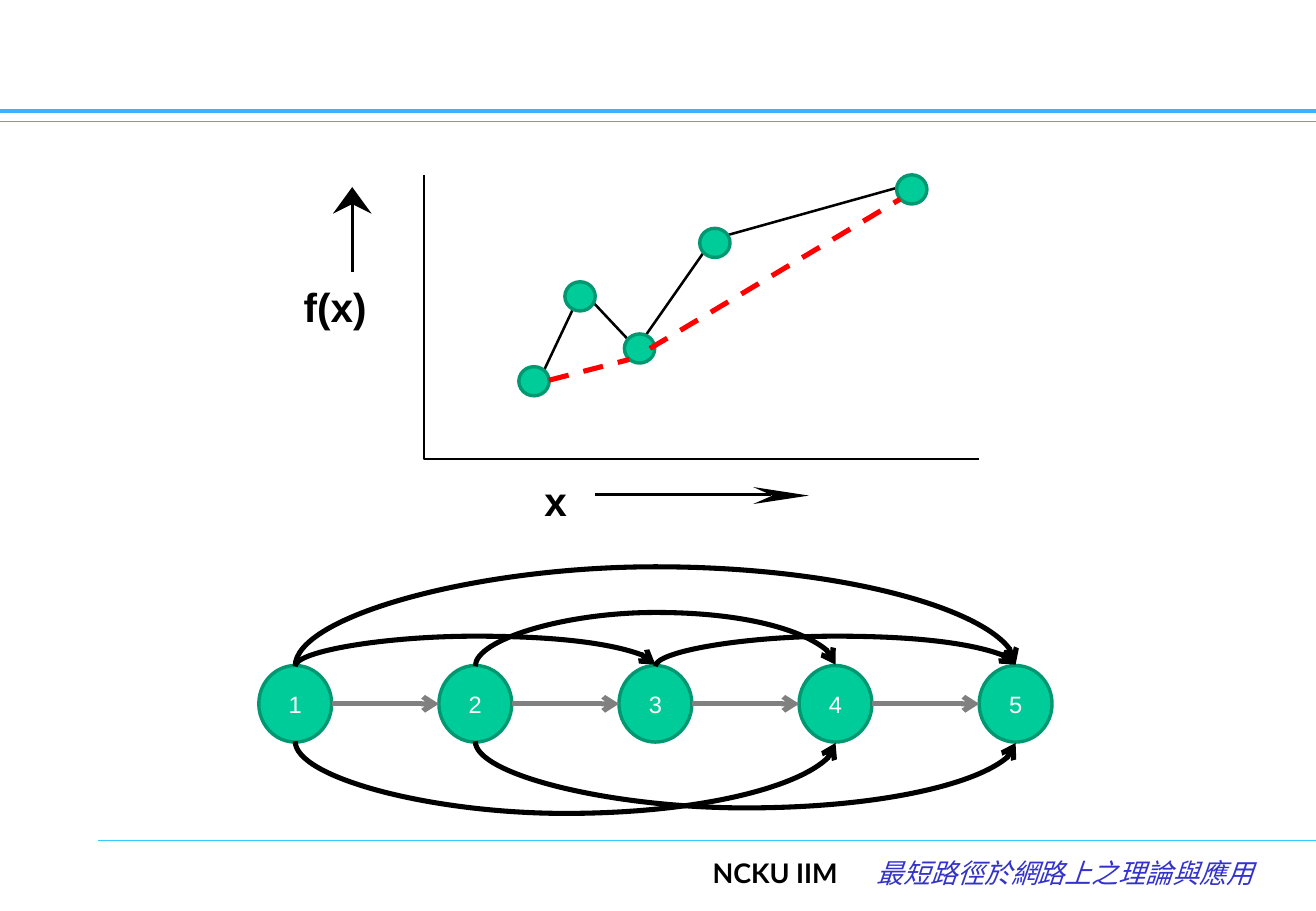
from dataclasses import dataclass
from itertools import pairwise

from lxml import etree
from pptx import Presentation
from pptx import shapes as shp
from pptx import slide as sld
from pptx import util as u
from pptx.dml import color
from pptx.enum import dml, shapes, text
from pptx.oxml import ns
from pptx.shapes import base, connector as con

Point = tuple[float, float]

BLACK, GREY, RED, WHITE = "000000", "808080", "FF0000", "FFFFFF"
GREEN, DARK_GREEN = "00CC99", "009771"
SKY, CYAN, INDIGO = "3DB0FF", "33CCFF", "3333CC"

SLIDE_WIDTH, SLIDE_HEIGHT = 780, 540
NODE_X, NODE_Y, NODE_PITCH = 175, 417.2, 106.75
NODE_WIDTH, NODE_HEIGHT = 43.2, 45.4
DOT_WIDTH, DOT_HEIGHT = 18, 17.3


@dataclass(frozen=True)
class Stroke:
    start: Point
    end: Point
    colour: str
    width: float
    dashed: bool = False
    arrow: bool = False


@dataclass(frozen=True)
class Arc:
    source: int
    target: int
    bulge: float
    above: bool = True


@dataclass(frozen=True)
class Label:
    wording: str
    left: float
    top: float
    width: float


RULES = [
    Stroke((0, 72), (SLIDE_WIDTH, 72), SKY, 0.75),
    Stroke((0, 66), (SLIDE_WIDTH, 66), SKY, 2.5),
    Stroke((58.3, 498), (SLIDE_WIDTH, 498), CYAN, 0.75),
]
AXES = [(251.3, 103.7), (251.3, 272.2), (580.3, 272.2)]
AXIS_LABELS = [Label("x", 322.6, 282.2, 13.7), Label("f(x)", 180, 167, 37.4)]
AXIS_ARROWS = [
    Stroke((352.8, 293.2), (457.2, 293.2), BLACK, 1.5),
    Stroke((208.8, 161.3), (208.8, 121), BLACK, 1.5),
]
ARROWHEADS = [
    [(479.5, 293.8), (446.4, 298.8), (457.9, 293.8), (446.4, 288.7)],
    [(208.8, 110.9), (220.3, 126.7), (208.8, 121), (197.3, 126.7)],
]
CURVE = [(320.4, 223.9), (344.9, 172.1), (377.3, 206.6), (422.6, 141.8), (538.6, 109.4)]
DOTS = [(343.8, 175.7), (316.5, 226), (379.1, 206.6), (423.7, 144), (540.4, 112.3)]
ENVELOPE = [
    Stroke((325.4, 225.4), (373, 213.1), RED, 3, dashed=True),
    Stroke((385.2, 206.6), (533.5, 118.1), RED, 3, dashed=True),
]
ARCS = [
    Arc(1, 5, 59.46),
    Arc(2, 4, 32.18),
    Arc(3, 5, 18),
    Arc(1, 4, 43.09, above=False),
    Arc(2, 5, 39.82, above=False),
    Arc(1, 3, 18),
]


def rgb(value: str) -> color.RGBColor:
    return color.RGBColor.from_string(value)


def set_line(shape: base.BaseShape, colour: str, width: float) -> None:
    shape.line.color.rgb = rgb(colour)
    shape.line.width = u.Pt(width)


def add_run(paragraph, wording: str, font: str, size: float, colour: str,
            bold: bool = False, italic: bool = False) -> None:
    run = paragraph.add_run()
    run.text = wording
    run.font.name, run.font.size = font, u.Pt(size)
    run.font.bold, run.font.italic = bold, italic
    run.font.color.rgb = rgb(colour)


def add_stroke(slide: sld.Slide, stroke: Stroke,
               kind: shapes.MSO_CONNECTOR = shapes.MSO_CONNECTOR.STRAIGHT) -> con.Connector:
    ends = [u.Pt(value) for value in (*stroke.start, *stroke.end)]
    connector = slide.shapes.add_connector(kind, *ends)
    set_line(connector, stroke.colour, stroke.width)
    if stroke.dashed:
        connector.line.dash_style = dml.MSO_LINE.DASH
    properties = connector._element.spPr
    if stroke.arrow:
        etree.SubElement(properties.find(ns.qn("a:ln")), ns.qn("a:tailEnd"), type="arrow")
    etree.SubElement(properties, ns.qn("a:effectLst"))
    return connector


def add_arc(slide: sld.Slide, arc: Arc) -> None:
    """Draw a 1 pt wide curved connector, turned a quarter so that it bulges up or down."""
    left, right = node_x(arc.source), node_x(arc.target)
    side = -1 if arc.above else 1
    middle_x = (left + right) / 2
    middle_y = NODE_Y + side * NODE_HEIGHT / 2
    reach = side * (right - left) / 2
    stroke = Stroke((middle_x + 0.5, middle_y - reach), (middle_x - 0.5, middle_y + reach),
                    BLACK, 3, arrow=True)
    properties = add_stroke(slide, stroke, shapes.MSO_CONNECTOR.CURVE)._element.spPr
    properties.find(ns.qn("a:xfrm")).set("rot", str((90 if arc.above else 270) * 60000))
    adjustments = properties.find(ns.qn("a:prstGeom")).find(ns.qn("a:avLst"))
    etree.SubElement(adjustments, ns.qn("a:gd"), name="adj1",
                     fmla=f"val {round(arc.bulge * 100000)}")


def add_outline(slide: sld.Slide, points: list[Point], closed: bool = False) -> None:
    corners = [(u.Pt(x), u.Pt(y)) for x, y in points]
    builder = slide.shapes.build_freeform(*corners[0])
    builder.add_line_segments(corners[1:], close=closed)
    shape = builder.convert_to_shape()
    shape.shadow.inherit = False
    if closed:
        shape.fill.solid()
        shape.fill.fore_color.rgb = rgb(BLACK)
        shape.line.fill.background()
    else:
        shape.fill.background()
        set_line(shape, BLACK, 1.5)


def add_ellipse(slide: sld.Slide, centre: Point, width: float, height: float,
                wording: str = "") -> None:
    shape = slide.shapes.add_shape(
        shapes.MSO_SHAPE.OVAL, u.Pt(centre[0] - width / 2), u.Pt(centre[1] - height / 2),
        u.Pt(width), u.Pt(height))
    shape.shadow.inherit = False
    shape.fill.solid()
    shape.fill.fore_color.rgb = rgb(GREEN)
    set_line(shape, DARK_GREEN, 2)
    if wording:
        shape.text_frame.vertical_anchor = text.MSO_ANCHOR.MIDDLE
        paragraph = shape.text_frame.paragraphs[0]
        paragraph.alignment = text.PP_ALIGN.CENTER
        add_run(paragraph, wording, "Arial", 14, WHITE)


def add_label(slide: sld.Slide, label: Label) -> None:
    box = slide.shapes.add_textbox(u.Pt(label.left), u.Pt(label.top),
                                   u.Pt(label.width), u.Pt(28.8))
    frame = box.text_frame
    frame.word_wrap = False
    frame.margin_left = frame.margin_right = frame.margin_top = frame.margin_bottom = 0
    add_run(frame.paragraphs[0], label.wording, "Arial", 24, BLACK, bold=True)


def add_footer(slide: sld.Slide) -> None:
    box = slide.shapes.add_textbox(u.Pt(415.3), u.Pt(504), u.Pt(350), u.Pt(36))
    box.text_frame.word_wrap = True
    paragraph = box.text_frame.paragraphs[0]
    stops = etree.SubElement(paragraph._p.get_or_add_pPr(), ns.qn("a:tabLst"))
    etree.SubElement(stops, ns.qn("a:tab"), pos=str(u.Pt(97.2)), algn="l")
    add_run(paragraph, "NCKU IIM\t", "Lato", 16, BLACK, bold=True)
    add_run(paragraph, "最短路徑於網路上之理論與應用", "DejaVu Sans Mono", 16, INDIGO, italic=True)


def node_x(number: int) -> float:
    return NODE_X + (number - 1) * NODE_PITCH


def main() -> None:
    presentation = Presentation()
    presentation.slide_width, presentation.slide_height = u.Pt(SLIDE_WIDTH), u.Pt(SLIDE_HEIGHT)
    slide = presentation.slides.add_slide(presentation.slide_layouts[6])

    # Footer and rules
    add_footer(slide)
    for rule in RULES:
        add_stroke(slide, rule)

    # Function graph
    add_outline(slide, AXES)
    for label in AXIS_LABELS:
        add_label(slide, label)
    for arrow, head in zip(AXIS_ARROWS, ARROWHEADS):
        add_outline(slide, head, closed=True)
        add_stroke(slide, arrow)
    add_outline(slide, CURVE)
    for dot in DOTS:
        add_ellipse(slide, dot, DOT_WIDTH, DOT_HEIGHT)

    # Network
    for number in range(1, 6):
        add_ellipse(slide, (node_x(number), NODE_Y), NODE_WIDTH, NODE_HEIGHT, str(number))
    for source, target in pairwise(range(1, 6)):
        add_stroke(slide, Stroke((node_x(source) + NODE_WIDTH / 2, NODE_Y),
                                 (node_x(target) - NODE_WIDTH / 2, NODE_Y), GREY, 3, arrow=True))
    for arc in ARCS:
        add_arc(slide, arc)

    # Dashed envelope
    for stroke in ENVELOPE:
        add_stroke(slide, stroke)

    presentation.save("out.pptx")


if __name__ == "__main__":
    main()
